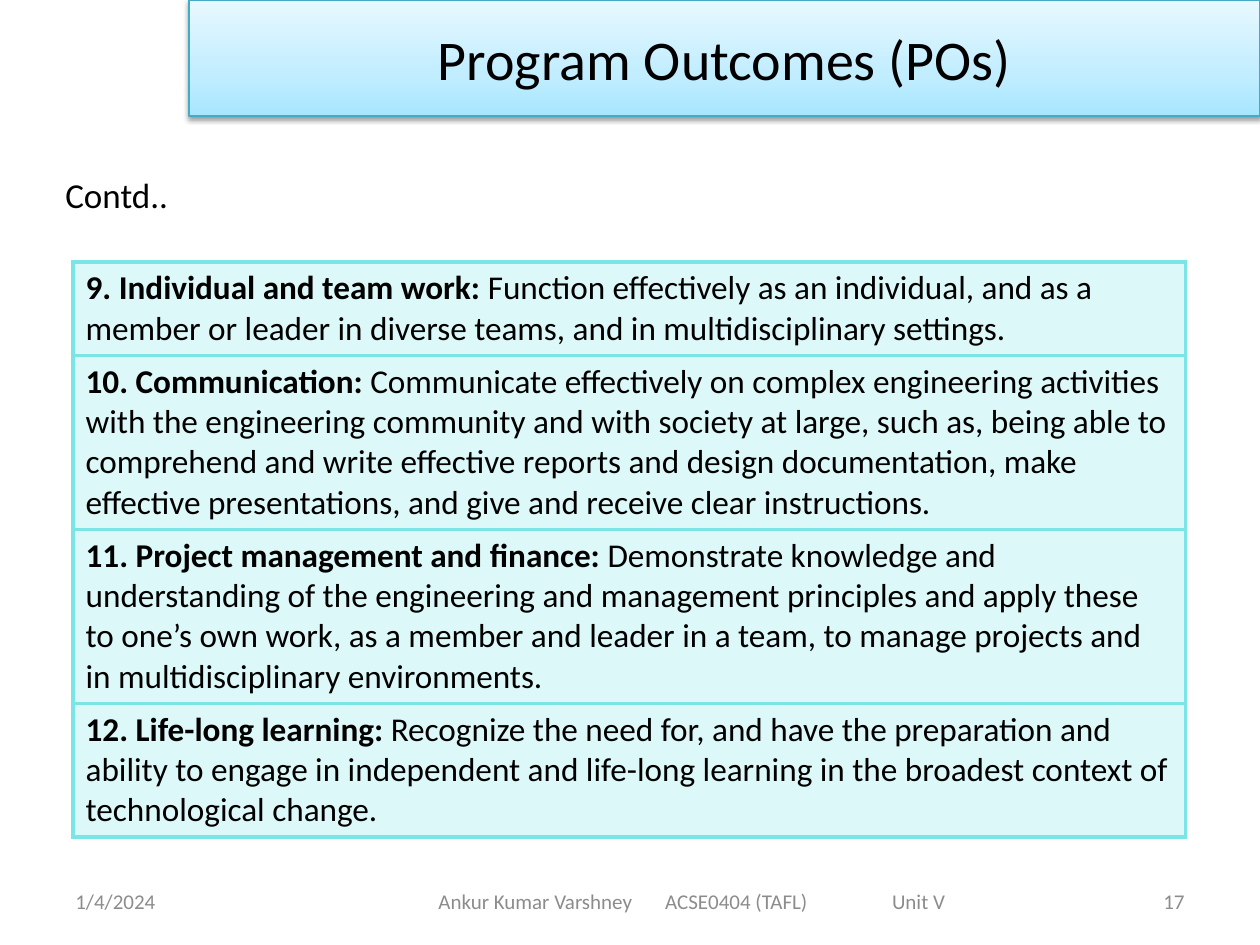
from copy import deepcopy

from lxml.etree import SubElement
from pptx import Presentation
from pptx.dml.color import RGBColor
from pptx.enum.text import MSO_ANCHOR, PP_ALIGN
from pptx.oxml.ns import qn
from pptx.util import Inches, Pt

COLORS = {
    "text": "000000",
    "footer": "8C8C8C",
    "table": "7BE5E5",
    "title_line": "46AAC5",
    "shadow": "000000",
}
TITLE_STOPS = [(0, "A7E6FF"), (0.35, "C1EDFF"), (1, "E7F8FF")]

# heading, description, row height in inches
OUTCOMES = [
    ("9. Individual and team work: ",
     "Function effectively as an individual, and as a member or leader in "
     "diverse teams, and in multidisciplinary settings.", 0.74),
    ("10. Communication: ",
     "Communicate effectively on complex engineering activities with the "
     "engineering community and with society at large, such as, being able to "
     "comprehend and write effective reports and design documentation, make "
     "effective presentations, and give and receive clear instructions.", 1.37),
    ("11. Project management and finance:",
     " Demonstrate knowledge and understanding of the engineering and "
     "management principles and apply these to one’s own work, as a member and "
     "leader in a team, to manage projects and in multidisciplinary "
     "environments.", 1.37),
    ("12. Life-long learning: ",
     "Recognize the need for, and have the preparation and ability to engage "
     "in independent and life-long learning in the broadest context of "
     "technological change.", 1.04),
]


def rgb(name):
    return RGBColor.from_string(COLORS[name])


def set_font(p, size, color="text"):
    p.font.name = "Calibri"
    p.font.size = Pt(size)
    p.font.color.rgb = rgb(color)


def add_shadow(sp):
    """Soft shadow straight below the shape."""
    effects = SubElement(sp._element.spPr, qn("a:effectLst"))
    shadow = SubElement(effects, qn("a:outerShdw"), blurRad=str(Pt(3.1)),
                        dist=str(Pt(1.6)), dir="5400000", rotWithShape="0")
    color = SubElement(shadow, qn("a:srgbClr"), val=COLORS["shadow"])
    SubElement(color, qn("a:alpha"), val="38000")


def add_title(slide, box, text):
    sp = slide.shapes.title
    sp.left, sp.top, sp.width, sp.height = map(Inches, box)
    sp.fill.gradient()
    sp.fill.gradient_angle = 90
    stop_list = sp._element.spPr.find(qn("a:gradFill")).find(qn("a:gsLst"))
    stop_list.append(deepcopy(stop_list[-1]))
    for stop, (position, color) in zip(sp.fill.gradient_stops, TITLE_STOPS):
        stop.position = position
        stop.color.rgb = RGBColor.from_string(color)
    sp.line.color.rgb = rgb("title_line")
    sp.line.width = Pt(0.75)
    add_shadow(sp)
    tf = sp.text_frame
    tf.text = text
    tf.vertical_anchor = MSO_ANCHOR.MIDDLE
    p = tf.paragraphs[0]
    p.alignment = PP_ALIGN.CENTER
    set_font(p, 32)


def add_text(slide, box, text, size, color="text", align=PP_ALIGN.LEFT,
             anchor=MSO_ANCHOR.TOP, wrap=True, tabs=()):
    tf = slide.shapes.add_textbox(*map(Inches, box)).text_frame
    tf.word_wrap = wrap
    tf.vertical_anchor = anchor
    p = tf.paragraphs[0]
    p.text = text
    p.alignment = align
    if tabs:
        tab_list = SubElement(p._p.get_or_add_pPr(), qn("a:tabLst"))
        for position in tabs:
            SubElement(tab_list, qn("a:tab"), pos=str(Inches(position)), algn="l")
    set_font(p, size, color)
    return tf


def style_cell(cell):
    """Coloured border on every side and a light tint of the same colour."""
    tcPr = cell._tc.get_or_add_tcPr()
    for side in ("a:lnL", "a:lnR", "a:lnT", "a:lnB"):
        ln = SubElement(tcPr, qn(side), w=str(Pt(2.25)))
        fill = SubElement(ln, qn("a:solidFill"))
        SubElement(fill, qn("a:srgbClr"), val=COLORS["table"])
    cell.fill.solid()
    cell.fill.fore_color.rgb = rgb("table")
    SubElement(tcPr.find(qn("a:solidFill"))[0], qn("a:alpha"), val="25000")


def add_outcomes(slide, box):
    table = slide.shapes.add_table(len(OUTCOMES), 1, *map(Inches, box)).table
    table.first_row = table.horz_banding = False
    for row, (heading, description, height) in zip(table.rows, OUTCOMES):
        row.height = Inches(height)
        cell = row.cells[0]
        style_cell(cell)
        p = cell.text_frame.paragraphs[0]
        for text, bold in ((heading, True), (description, False)):
            r = p.add_run()
            r.text = text
            set_font(r, 19)
            r.font.bold = bold


def add_footer(slide, top, height):
    style = {"size": 12, "color": "footer", "anchor": MSO_ANCHOR.MIDDLE}
    add_text(slide, (0.5, top, 2.33, height), "1/4/2024", **style)
    tf = add_text(slide, (2.75, top, 5.5, height),
                  "Ankur Kumar Varshney\tACSE0404 (TAFL)\tUnit V",
                  tabs=(1.8, 3.6), **style)
    tf.margin_left = Inches(0.73)
    add_text(slide, (7.17, top, 2.33, height), "17",
             align=PP_ALIGN.RIGHT, **style)


def main():
    prs = Presentation()
    prs.slide_width, prs.slide_height = Inches(10), Inches(7.5)
    slide = prs.slides.add_slide(prs.slide_layouts[5])
    add_outcomes(slide, (0.58, 2.08, 8.83, 4.52))
    add_text(slide, (0.42, 1.33, 1.02, 0.44), "Contd..", 20, wrap=False)
    add_title(slide, (1.5, 0, 8.5, 0.92), "Program Outcomes (POs)")
    add_footer(slide, 6.95, 0.4)
    prs.save("out.pptx")


if __name__ == "__main__":
    main()
